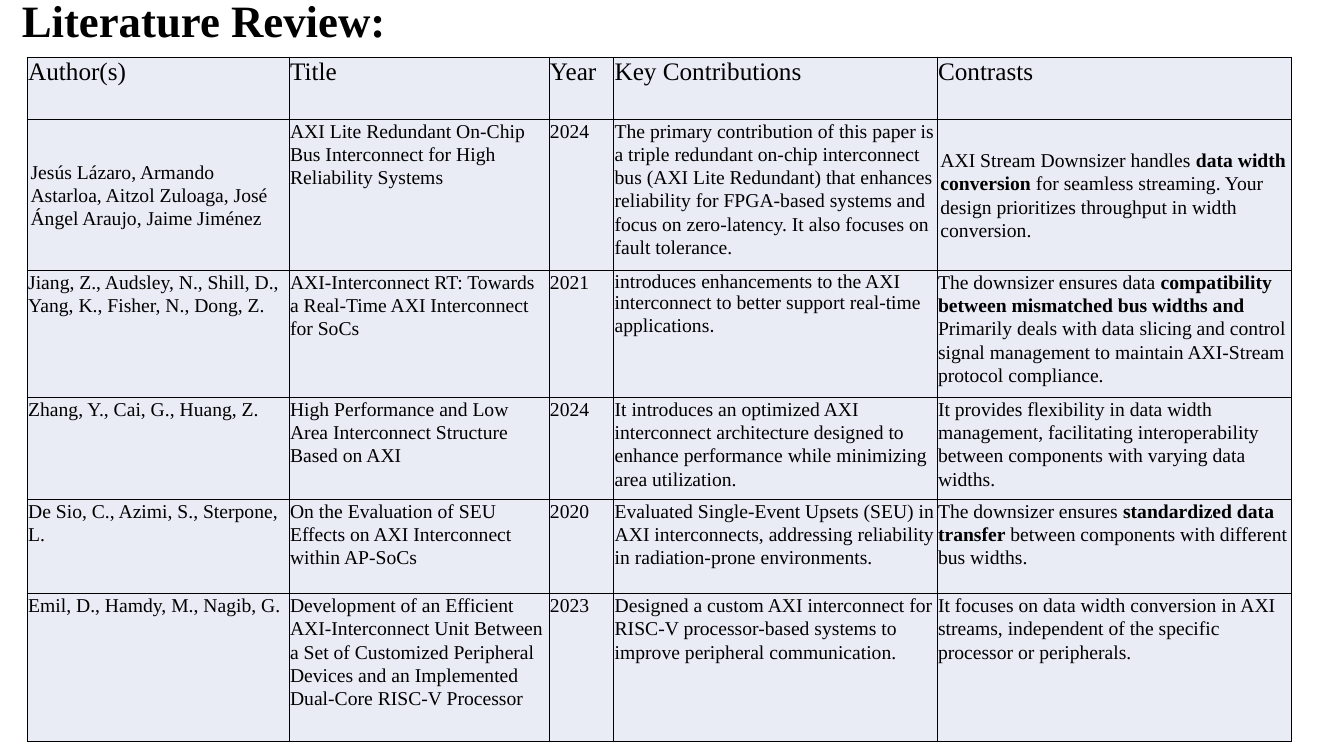
from lxml import etree
from pptx import Presentation
from pptx.dml.color import RGBColor
from pptx.enum import text as t
from pptx.oxml import ns
from pptx.util import Cm, Pt

BLACK = RGBColor(0, 0, 0)
PALE_BLUE = RGBColor(0xE9, 0xEB, 0xF5)
SERIF = "Times New Roman"

COLUMN_WIDTHS = [6.6, 6.55, 1.63, 8.15, 8.92]
ROW_HEIGHTS = [1.56, 3.81, 3.2, 2.57, 2.37, 3.72]
CENTRED_CELLS = [(1, 0), (1, 4)]
SINGLE_SPACED_CELL = (2, 3)

REVIEW = [
    ["Author(s)", "Title", "Year", "Key Contributions", "Contrasts"],
    [
        "Jesús Lázaro, Armando Astarloa, Aitzol Zuloaga, José Ángel Araujo, Jaime Jiménez",
        "AXI Lite Redundant On-Chip Bus Interconnect for High Reliability Systems",
        "2024",
        "The primary contribution of this paper is a triple redundant on-chip interconnect bus "
        "(AXI Lite Redundant) that enhances reliability for FPGA-based systems and focus on "
        "zero-latency. It also focuses on fault tolerance.",
        "AXI Stream Downsizer handles **data width conversion **for seamless streaming. "
        "Your design prioritizes throughput in width conversion.",
    ],
    [
        "Jiang, Z., Audsley, N., Shill, D., Yang, K., Fisher, N., Dong, Z.",
        "AXI-Interconnect RT: Towards a Real-Time AXI Interconnect for SoCs",
        "2021",
        "introduces enhancements to the AXI interconnect to better support real-time applications",
        "The downsizer ensures data **compatibility between mismatched bus widths and **"
        "Primarily deals with data slicing and control signal management to maintain "
        "AXI-Stream protocol compliance.",
    ],
    [
        "Zhang, Y., Cai, G., Huang, Z.",
        "High Performance and Low Area Interconnect Structure Based on AXI",
        "2024",
        "It introduces an optimized AXI interconnect architecture designed to enhance "
        "performance while minimizing area utilization.",
        "It provides flexibility in data width management, facilitating interoperability "
        "between components with varying data widths.",
    ],
    [
        "De Sio, C., Azimi, S., Sterpone, L.",
        "On the Evaluation of SEU Effects on AXI Interconnect within AP-SoCs",
        "2020",
        "Evaluated Single-Event Upsets (SEU) in AXI interconnects, addressing reliability "
        "in radiation-prone environments.",
        "The downsizer ensures **standardized data transfer **between components with "
        "different bus widths.",
    ],
    [
        "Emil, D., Hamdy, M., Nagib, G.",
        "Development of an Efficient AXI-Interconnect Unit Between a Set of Customized "
        "Peripheral Devices and an Implemented Dual-Core RISC-V Processor",
        "2023",
        "Designed a custom AXI interconnect for RISC-V processor-based systems to improve "
        "peripheral communication.",
        "It focuses on data width conversion in AXI streams, independent of the specific "
        "processor or peripherals.",
    ],
]


def write(para, words, size=14, font=SERIF, bold=False):
    for index, part in enumerate(words.split("**")):
        span = para.add_run()
        span.text = part
        span.font.size = Pt(size)
        span.font.name = font
        span.font.bold = bold or index % 2 == 1
        span.font.color.rgb = BLACK


def add_borders(cell):
    properties = cell._tc.get_or_add_tcPr()
    for position, side in enumerate(["a:lnL", "a:lnR", "a:lnT", "a:lnB"]):
        line = etree.Element(ns.qn(side), w=str(Pt(1)))
        fill = etree.SubElement(line, ns.qn("a:solidFill"))
        etree.SubElement(fill, ns.qn("a:srgbClr"), val=str(BLACK))
        properties.insert(position, line)


deck = Presentation()
deck.slide_width = Cm(33.87)
deck.slide_height = Cm(19.05)
page = deck.slides.add_slide(deck.slide_layouts[6])

heading = page.shapes.add_textbox(Cm(0.3), Cm(-0.3), Cm(16.94), Cm(9.83))
heading.text_frame.word_wrap = True
heading.text_frame.auto_size = t.MSO_AUTO_SIZE.SHAPE_TO_FIT_TEXT
write(heading.text_frame.paragraphs[0], "Literature Review:", size=32, bold=True)

table = page.shapes.add_table(
    len(ROW_HEIGHTS), len(COLUMN_WIDTHS), Cm(0.69), Cm(1.45),
    Cm(sum(COLUMN_WIDTHS)), Cm(sum(ROW_HEIGHTS)),
).table
table.first_row = False
table.horz_banding = False
for column, width in zip(table.columns, COLUMN_WIDTHS):
    column.width = Cm(width)
for row, height in zip(table.rows, ROW_HEIGHTS):
    row.height = Cm(height)

for r, entries in enumerate(REVIEW):
    for c, words in enumerate(entries):
        cell = table.cell(r, c)
        centred = (r, c) in CENTRED_CELLS
        cell.margin_left = cell.margin_right = Cm(0.08 if centred else 0.02)
        cell.margin_top = cell.margin_bottom = Cm(0.05 if centred else 0)
        cell.vertical_anchor = t.MSO_ANCHOR.MIDDLE if centred else t.MSO_ANCHOR.TOP
        cell.fill.solid()
        cell.fill.fore_color.rgb = PALE_BLUE
        add_borders(cell)
        para = cell.text_frame.paragraphs[0]
        write(para, words, size=18 if r == 0 else 14)
        if (r, c) == SINGLE_SPACED_CELL:
            write(para, ".", font="Calibri")
        elif r > 0:
            para.line_spacing = 1.07
            para.space_after = Pt(8)

deck.save("out.pptx")
